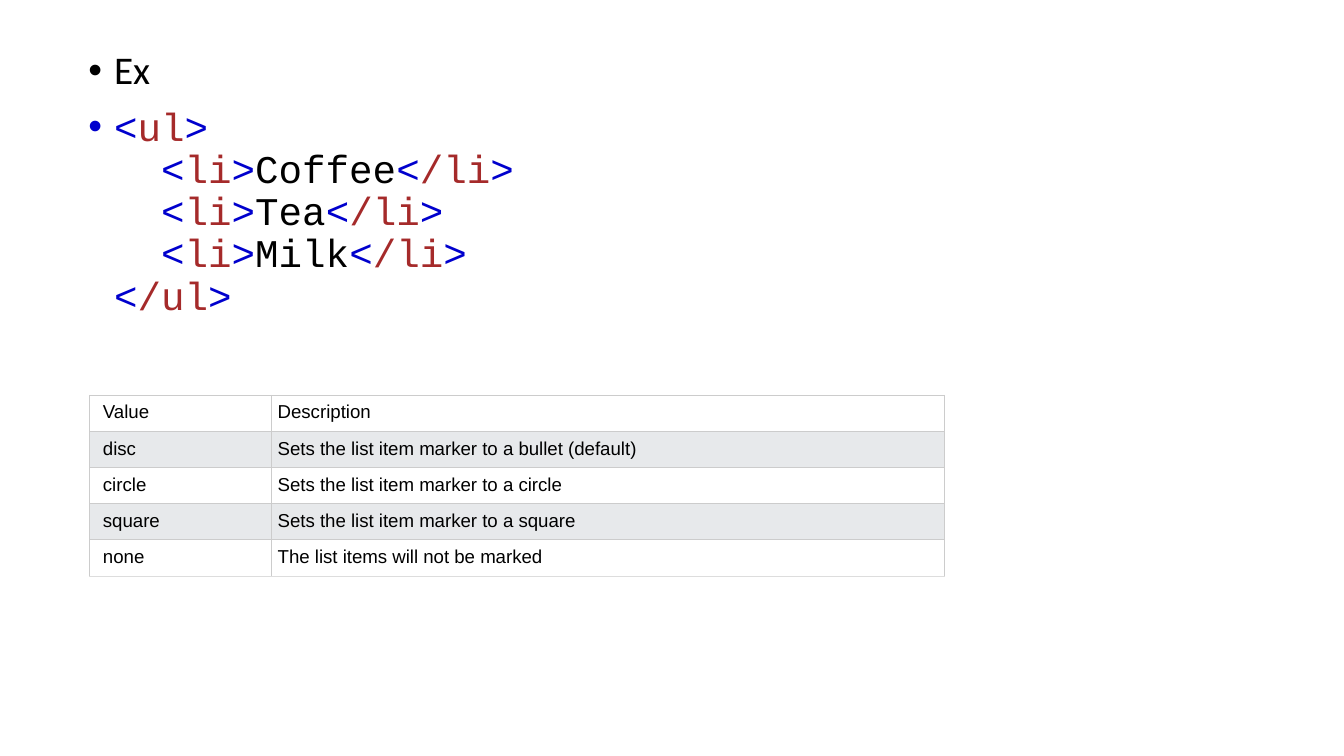
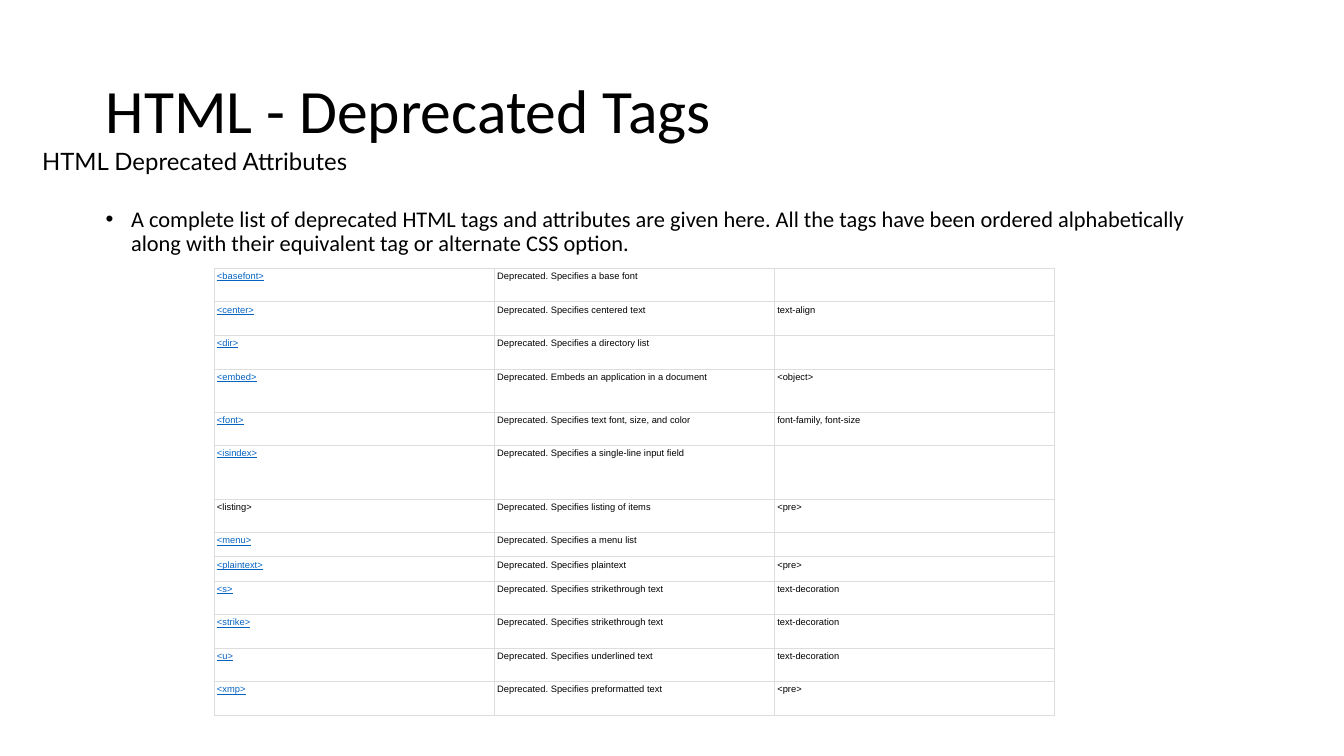
from lxml.etree import SubElement
from pptx import Presentation
from pptx.dml.color import RGBColor
from pptx.enum.text import MSO_ANCHOR
from pptx.oxml.ns import qn
from pptx.util import Inches, Pt

BLACK = RGBColor(0x00, 0x00, 0x00)
WHITE = RGBColor(0xFF, 0xFF, 0xFF)
BRACKET_BLUE = RGBColor(0x00, 0x00, 0xCD)
TAG_BROWN = RGBColor(0xA5, 0x2A, 0x2A)
LINK_BLUE = RGBColor(0x05, 0x63, 0xC1)
BAND_GREY = RGBColor(0xE7, 0xE9, 0xEB)
RULE_GREY = RGBColor(0xCC, 0xCC, 0xCC)
PALE_GREY = RGBColor(0xDD, 0xDD, 0xDD)

SLIDE_W = Inches(10)
SLIDE_H = SLIDE_W * 9 // 16
BODY_FONT, CODE_FONT, TABLE_FONT, SUB_FONT = "Calibri", "Courier New", "Arial", "Lato"

MARKERS = [
    ("Value", "Description"),
    ("disc", "Sets the list item marker to a bullet (default)"),
    ("circle", "Sets the list item marker to a circle"),
    ("square", "Sets the list item marker to a square"),
    ("none", "The list items will not be marked"),
]
DEPRECATED = [
    ("<basefont>", "Deprecated. Specifies a base font", "", 0.25),
    ("<center>", "Deprecated. Specifies centered text", "text-align", 0.25),
    ("<dir>", "Deprecated. Specifies a directory list", "", 0.25),
    ("<embed>", "Deprecated. Embeds an application in a document", "<object>", 0.32),
    ("<font>", "Deprecated. Specifies text font, size, and color",
     "font-family, font-size", 0.25),
    ("<isindex>", "Deprecated. Specifies a single-line input field", "", 0.4),
    ("<listing>", "Deprecated. Specifies listing of items", "<pre>", 0.25),
    ("<menu>", "Deprecated. Specifies a menu list", "", 0.18),
    ("<plaintext>", "Deprecated. Specifies plaintext", "<pre>", 0.18),
    ("<s>", "Deprecated. Specifies strikethrough text", "text-decoration", 0.25),
    ("<strike>", "Deprecated. Specifies strikethrough text", "text-decoration", 0.25),
    ("<u>", "Deprecated. Specifies underlined text", "text-decoration", 0.25),
    ("<xmp>", "Deprecated. Specifies preformatted text", "<pre>", 0.25),
]


def percent_box(left, top, width, height):
    """Turn percentages of the slide into a box of lengths."""
    return (int(SLIDE_W * left / 100), int(SLIDE_H * top / 100),
            int(SLIDE_W * width / 100), int(SLIDE_H * height / 100))


def style_run(r, font, size, color=BLACK):
    """Set the font, size and colour of a run."""
    r.font.name = font
    r.font.size = Pt(size)
    r.font.color.rgb = color


def add_line(slide, box, text, font, size, anchor=MSO_ANCHOR.TOP):
    """Add a wrapping box holding one styled paragraph."""
    tf = slide.shapes.add_textbox(*box).text_frame
    tf.word_wrap = True
    tf.vertical_anchor = anchor
    p = tf.paragraphs[0]
    p.text = text
    style_run(p.runs[0], font, size)
    return tf


def make_bullet(p):
    """Give a paragraph the shared bullet, indent and spacing."""
    p.line_spacing = 0.9
    p.space_before = Pt(7.5)
    pPr = p._p.get_or_add_pPr()
    pPr.set("marL", str(Inches(0.19)))
    pPr.set("indent", str(-Inches(0.19)))
    SubElement(pPr, qn("a:buFont"), typeface="Arial")
    SubElement(pPr, qn("a:buChar"), char="•")


def tag(name):
    """Return the coloured pieces of one tag."""
    return [("<", BRACKET_BLUE), (name, TAG_BROWN), (">", BRACKET_BLUE)]


def add_code_example(slide, box):
    """Add the heading bullet and the coloured list markup."""
    tf = add_line(slide, box, "Ex", BODY_FONT, 21)
    make_bullet(tf.paragraphs[0])
    p = tf.add_paragraph()
    make_bullet(p)
    items = [[("  ", BRACKET_BLUE), *tag("li"), (item, BLACK), *tag("/li")]
             for item in ("Coffee", "Tea", "Milk")]
    for i, line in enumerate([tag("ul"), *items, tag("/ul")]):
        if i:
            p.add_line_break()
        for text, color in line:
            r = p.add_run()
            r.text = text
            style_run(r, CODE_FONT, 21, color)
    for br in p._p.findall(qn("a:br")):
        rPr = SubElement(br, qn("a:rPr"), sz="2100")
        SubElement(rPr, qn("a:latin"), typeface="Arial")


def set_borders(cell, color, bottom):
    """Draw thin lines on the four sides of a cell."""
    tcPr = cell._tc.get_or_add_tcPr()
    sides = {"lnL": color, "lnR": color, "lnT": color, "lnB": bottom}
    for i, (side, rgb) in enumerate(sides.items()):
        ln = SubElement(tcPr, qn(f"a:{side}"), w=str(Pt(0.6)))
        fill = SubElement(ln, qn("a:solidFill"))
        SubElement(fill, qn("a:srgbClr"), val=str(rgb))
        tcPr.insert(i, ln)


def add_grid(slide, box, rows, col_shares, row_shares, size, inset):
    """Add a plain table and return it with its text in place."""
    width, height = box[2:]
    table = slide.shapes.add_table(len(rows), len(col_shares), *box).table
    table.first_row = table.horz_banding = False
    for col, share in zip(table.columns, col_shares):
        col.width = int(width * share / sum(col_shares))
    for row, share, texts in zip(table.rows, row_shares, rows):
        row.height = int(height * share / sum(row_shares))
        for cell, text in zip(row.cells, texts):
            cell.margin_left = cell.margin_right = Inches(inset)
            cell.margin_top = cell.margin_bottom = Inches(inset)
            cell.fill.background()
            p = cell.text_frame.paragraphs[0]
            if text:
                p.text = text
                style_run(p.runs[0], TABLE_FONT, size)
            else:
                SubElement(p._p, qn("a:endParaRPr"), sz=str(size * 100))
    return table


def add_marker_table(slide, box):
    """Add the banded table of list marker values."""
    table = add_grid(slide, box, MARKERS, (1.35, 5.01), [1] * len(MARKERS), 10, 0.05)
    for i, row in enumerate(table.rows):
        row.cells[0].margin_left = Inches(0.1)
        bottom = PALE_GREY if i == len(MARKERS) - 1 else RULE_GREY
        for cell in row.cells:
            cell.fill.solid()
            cell.fill.fore_color.rgb = BAND_GREY if i % 2 else WHITE
            set_borders(cell, RULE_GREY, bottom)


def add_deprecated_table(slide, box):
    """Add the table of deprecated tags and their replacements."""
    rows = [entry[:3] for entry in DEPRECATED]
    heights = [entry[3] for entry in DEPRECATED]
    table = add_grid(slide, box, rows, (1, 1, 1), heights, 5, 0.02)
    for row in table.rows:
        for cell in row.cells:
            set_borders(cell, PALE_GREY, PALE_GREY)
        name = row.cells[0].text_frame.paragraphs[0].runs[0]
        if name.text != "<listing>":
            name.font.color.rgb = LINK_BLUE
            name.font.underline = True


def add_title(slide, box):
    """Add the slide title."""
    tf = add_line(slide, box, "HTML - Deprecated Tags", BODY_FONT, 33, MSO_ANCHOR.MIDDLE)
    tf.paragraphs[0].line_spacing = 0.9


def add_intro(slide, box):
    """Add the bullet that introduces the table."""
    tf = add_line(slide, box, "A complete list of deprecated HTML tags and attributes are "
                  "given here. All the tags have been ordered alphabetically along with "
                  "their equivalent tag or alternate CSS option.", BODY_FONT, 12)
    make_bullet(tf.paragraphs[0])


def add_subtitle(slide, box):
    """Add the line under the title."""
    tf = add_line(slide, box, "HTML Deprecated Attributes", SUB_FONT, 12.8)
    tf.margin_left = tf.margin_right = Inches(0.07)
    tf.margin_top = tf.margin_bottom = Inches(0.04)


def main():
    """Build both slides and save the file."""
    prs = Presentation()
    prs.slide_width, prs.slide_height = SLIDE_W, SLIDE_H
    blank = prs.slide_layouts[6]

    slide = prs.slides.add_slide(blank)
    add_code_example(slide, percent_box(5.6, 5.85, 86.2, 93.2))
    add_marker_table(slide, percent_box(6.66, 52.3, 63.6, 23.92))

    slide = prs.slides.add_slide(blank)
    add_title(slide, percent_box(6.9, 5.33, 86.2, 19.4))
    add_intro(slide, percent_box(6.87, 26.65, 86.2, 63.5))
    add_deprecated_table(slide, percent_box(15.95, 35.5, 62.55, 59.2))
    add_subtitle(slide, percent_box(2.43, 18.67, 27.7, 9.25))

    prs.save("out.pptx")


if __name__ == "__main__":
    main()
